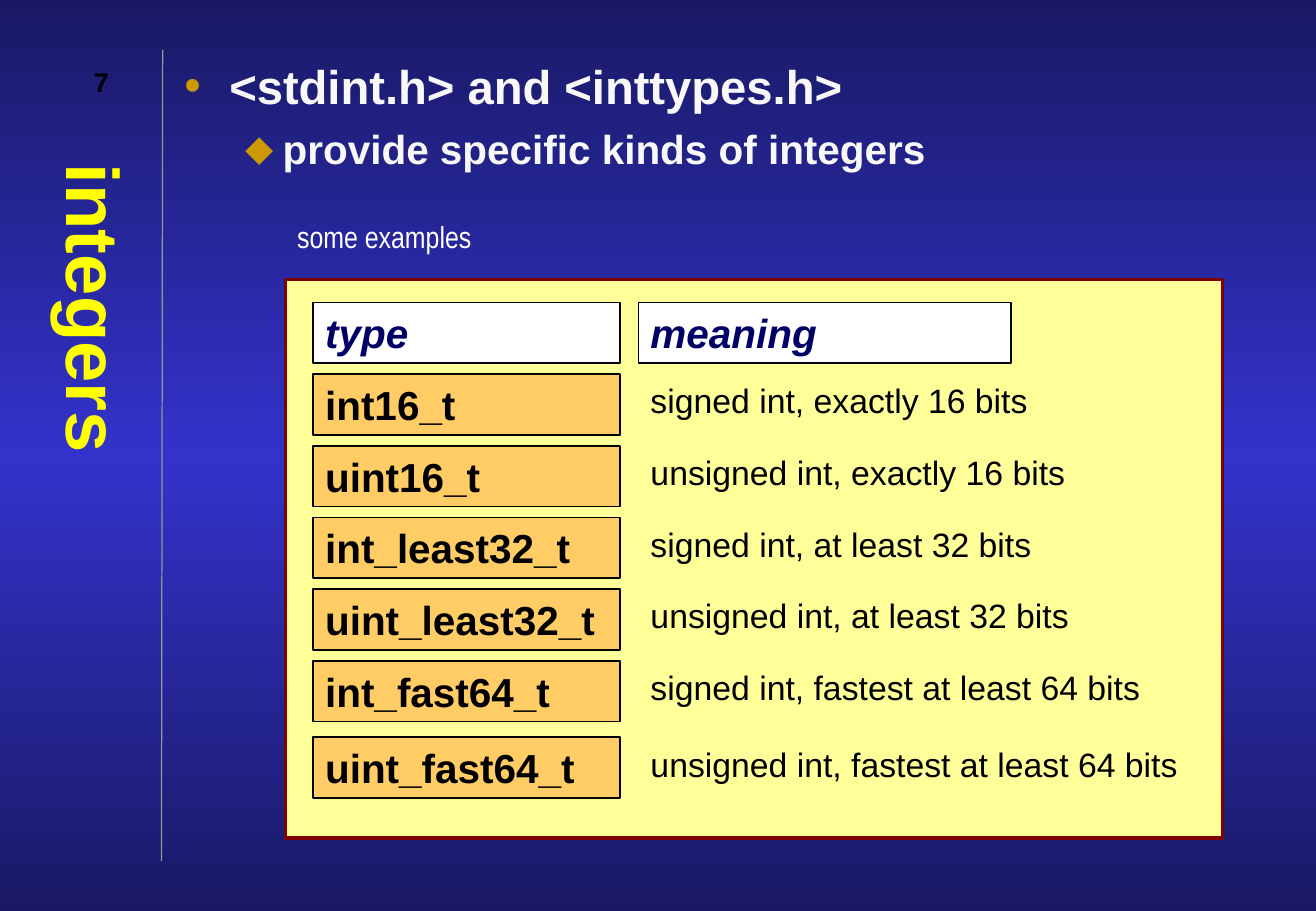
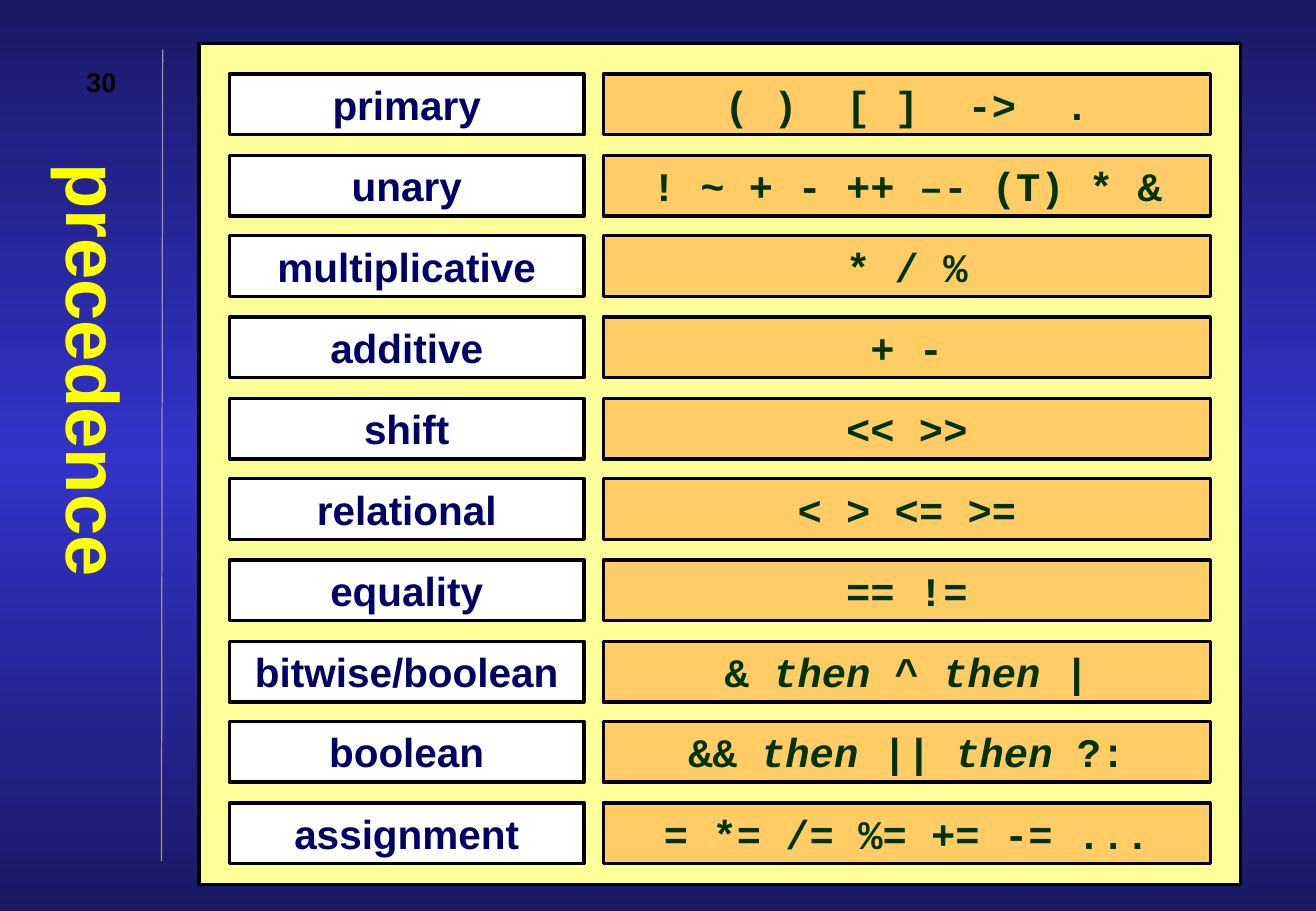
from dataclasses import dataclass
from typing import Any, Optional

from lxml import etree
from copy import deepcopy
from pptx import Presentation
from pptx.dml.color import RGBColor
from pptx.enum.shapes import MSO_CONNECTOR, MSO_SHAPE
from pptx.enum.text import MSO_ANCHOR, MSO_AUTO_SIZE, PP_ALIGN
from pptx.oxml.ns import qn
from pptx.util import Emu, Pt

LEFT, MID = PP_ALIGN.LEFT, PP_ALIGN.CENTER
TOP, HALF = MSO_ANCHOR.TOP, MSO_ANCHOR.MIDDLE
FIXED = MSO_AUTO_SIZE.NONE
RECT, LINE = MSO_SHAPE.RECTANGLE, MSO_CONNECTOR.STRAIGHT
SCALE = 9144  # EMU in one px, 100 px to the inch

HUE = {
    "edge": "191965", "core": "3333CC", "rail": "969696", "title": "FFFF00",
    "body": "F8F8F8", "mark": "CC9900", "panel": "FFFF99", "frame": "800000",
    "cell": "FFCC66", "white": "FFFFFF", "black": "000000", "navy": "000066",
    "green": "003300",
}


@dataclass(frozen=True)
class Box:
    x: int
    y: int
    w: int
    h: int


@dataclass(frozen=True)
class Face:
    size: int
    hue: str
    name: str = "Arial"
    bold: bool = True
    italic: bool = False
    align: Any = LEFT


@dataclass(frozen=True)
class Skin:
    fill: str
    line: str = "black"
    width: int = 2


@dataclass(frozen=True)
class Point:
    text: str
    size: int
    sign: str
    left: int
    hang: int
    gap: int


TITLE = Face(44, "title", align=MID)
PAGE = Face(16, "black", align=MID)
HEAD = Face(24, "navy", italic=True)
TYPE = Face(24, "black")
NOTE = Face(20, "black", bold=False)
LABEL = Face(18, "white", "Arial Narrow", bold=False)
GROUP = Face(24, "navy", align=MID)
CODE = Face(24, "green", "Courier New", align=MID)

POINTS = [
    Point("<stdint.h> and <inttypes.h>", 28, "•", 37, 37, 0),
    Point("provide specific kinds of integers", 24, "⬥", 81, 31, 6),
]
TYPES = [
    ("type", "meaning"),
    ("int16_t", "signed int, exactly 16 bits"),
    ("uint16_t", "unsigned int, exactly 16 bits"),
    ("int_least32_t", "signed int, at least 32 bits"),
    ("uint_least32_t", "unsigned int, at least 32 bits"),
    ("int_fast64_t", "signed int, fastest at least 64 bits"),
    ("uint_fast64_t", "unsigned int, fastest at least 64 bits"),
]
TOPS = [249, *range(308, 545, 59), 607]
# Every second part of an operator list is italic
RANKS = [
    ("primary", ["( )  [ ]  ->  ."]),
    ("unary", ["! ~ + - ++ –- (T) * &"]),
    ("multiplicative", ["* / %"]),
    ("additive", ["+ -"]),
    ("shift", ["<< >>"]),
    ("relational", ["< > <= >="]),
    ("equality", ["== !="]),
    ("bitwise/boolean", ["& ", "then", " ^ ", "then", " |"]),
    ("boolean", ["&& ", "then", " || ", "then", " ?:"]),
    ("assignment", ["= *= /= %= += -= ..."]),
]


def px(num: int) -> Emu:
    return Emu(num * SCALE)


def rgb(hue: str) -> RGBColor:
    return RGBColor.from_string(HUE[hue])


def apply(item: Any, form: dict[str, Any]) -> None:
    for key, val in form.items():
        setattr(item, key, val)


def span(box: Box) -> tuple[Emu, Emu, Emu, Emu]:
    return px(box.x), px(box.y), px(box.w), px(box.h)


def setup(frame: Any, side: int = 10, edge: int = 5, anchor: Any = TOP) -> None:
    apply(frame, {
        "word_wrap": True, "auto_size": FIXED, "vertical_anchor": anchor,
        "margin_left": px(side), "margin_right": px(side),
        "margin_top": px(edge), "margin_bottom": px(edge),
    })


def write(para: Any, parts: list[str], face: Face) -> None:
    para.alignment = face.align
    for num, part in enumerate(parts):
        run = para.add_run()
        run.text = part
        apply(run.font, {
            "size": Pt(face.size), "name": face.name, "bold": face.bold,
            "italic": face.italic or num % 2 == 1,
        })
        run.font.color.rgb = rgb(face.hue)


def text(slide: Any, box: Box, words: str, face: Face, anchor: Any = TOP) -> None:
    frame = slide.shapes.add_textbox(*span(box)).text_frame
    setup(frame, anchor=anchor)
    write(frame.paragraphs[0], [words], face)


def block(slide: Any, box: Box, skin: Skin,
          parts: Optional[list[str]] = None, face: Face = TYPE) -> None:
    shape = slide.shapes.add_shape(RECT, *span(box))
    shape.shadow.inherit = False
    shape.fill.solid()
    shape.fill.fore_color.rgb = rgb(skin.fill)
    shape.line.color.rgb = rgb(skin.line)
    shape.line.width = Pt(skin.width)
    if parts:
        setup(shape.text_frame)
        write(shape.text_frame.paragraphs[0], parts, face)


def bullet(para: Any, point: Point) -> None:
    props = para._p.get_or_add_pPr()
    props.set("marL", str(px(point.left)))
    props.set("indent", str(-px(point.hang)))
    tint = etree.SubElement(props, qn("a:buClr"))
    etree.SubElement(tint, qn("a:srgbClr"), val=HUE["mark"])
    etree.SubElement(props, qn("a:buFont"), typeface="Arial")
    etree.SubElement(props, qn("a:buChar"), char=point.sign)
    if point.gap:
        para.space_before = Pt(point.gap)
    write(para, [point.text], Face(point.size, "body"))


def backdrop(deck: Any) -> None:
    # Shared gradient, dark at both ends
    master = deck.slide_master
    fill = master.background.fill
    fill.gradient()
    fill.gradient_angle = 90
    stops = master.element.find(".//" + qn("a:gsLst"))
    stops.append(deepcopy(stops[-1]))
    tints = [(0, "edge"), (0.5, "core"), (1, "edge")]
    for stop, (place, hue) in zip(fill.gradient_stops, tints):
        stop.position = place
        stop.color.rgb = rgb(hue)


def start(deck: Any, name: str, page: int) -> Any:
    # Rail, upright title and page number
    slide = deck.slides.add_slide(deck.slide_layouts[5])
    rail = slide.shapes.add_connector(LINE, px(133), px(709), px(134), px(41))
    rail.line.color.rgb = rgb("rail")
    rail.line.width = Pt(0.75)
    etree.SubElement(rail._element.spPr, qn("a:effectLst"))
    title = slide.shapes.title
    apply(title, dict(zip(("left", "top", "width", "height"),
                          span(Box(33, 125, 92, 583)))))
    setup(title.text_frame, 5, 10, HALF)
    title.text_frame._txBody.bodyPr.set("vert", "eaVert")
    write(title.text_frame.paragraphs[0], [name], TITLE)
    text(slide, Box(42, 42, 83, 50), str(page), PAGE, HALF)
    return slide


def integers(deck: Any) -> None:
    slide = start(deck, "integers", 7)
    frame = slide.shapes.add_textbox(*span(Box(142, 42, 892, 667))).text_frame
    setup(frame)
    for num, point in enumerate(POINTS):
        bullet(frame.add_paragraph() if num else frame.paragraphs[0], point)
    text(slide, Box(235, 175, 284, 40), "some examples", LABEL)
    # Types and their meanings
    block(slide, Box(235, 230, 772, 460), Skin("panel", "frame"))
    for num, (top, (kind, sense)) in enumerate(zip(TOPS, TYPES)):
        left = Box(258, top, 253, 50)
        if num:
            block(slide, left, Skin("cell", width=1), [kind], TYPE)
            text(slide, Box(526, top, 465, 44), sense, NOTE)
        else:
            block(slide, left, Skin("white", width=1), [kind], HEAD)
            block(slide, Box(526, top, 307, 50), Skin("white", width=1),
                  [sense], HEAD)


def precedence(deck: Any) -> None:
    slide = start(deck, "precedence", 30)
    block(slide, Box(164, 36, 858, 692), Skin("panel"))
    # Rows at equal steps from first to last
    first, last = 61, 661
    for num, (group, signs) in enumerate(RANKS):
        top = first + round(num * (last - first) / (len(RANKS) - 1))
        block(slide, Box(189, top, 292, 50), Skin("white"), [group], GROUP)
        block(slide, Box(497, top, 500, 50), Skin("cell"), signs, CODE)


def main() -> None:
    deck = Presentation()
    apply(deck, {"slide_width": px(1084), "slide_height": px(750)})
    backdrop(deck)
    integers(deck)
    precedence(deck)
    deck.save("out.pptx")


if __name__ == "__main__":
    main()
